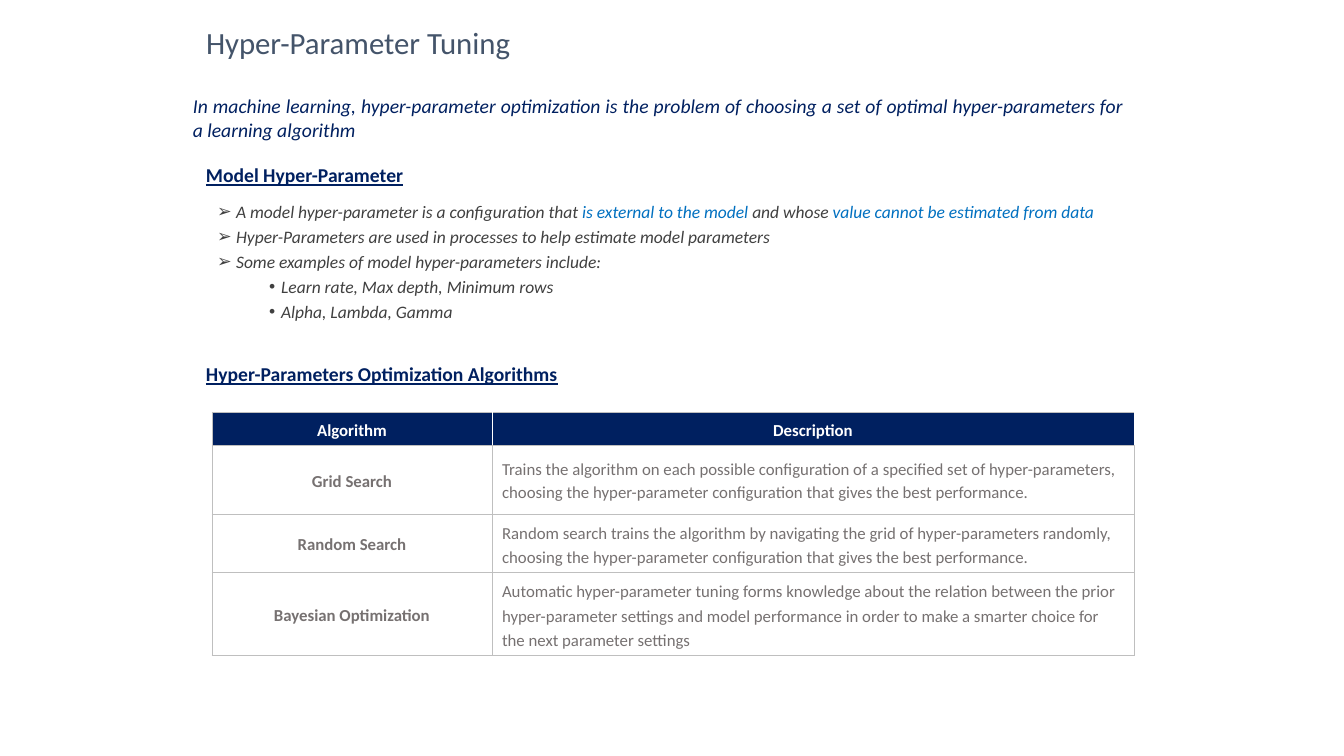
"""Build the Hyper-Parameter Tuning slide."""
import lxml.etree
import pptx
import pptx.dml.color
import pptx.enum.shapes
import pptx.enum.text
import pptx.oxml.ns
import pptx.util

RGB = pptx.dml.color.RGBColor
SLATE = RGB(0x44, 0x54, 0x6A)
NAVY = RGB(0x00, 0x20, 0x60)
BLUE = RGB(0x00, 0x70, 0xC0)
DARK = RGB(0x40, 0x40, 0x40)
GREY = RGB(0x76, 0x71, 0x71)
SILVER = RGB(0xBF, 0xBF, 0xBF)
WHITE = RGB(0xFF, 0xFF, 0xFF)
ALIGN = pptx.enum.text.PP_ALIGN
ANCHOR = pptx.enum.text.MSO_ANCHOR
SHAPE = pptx.enum.shapes.MSO_SHAPE
qn = pptx.oxml.ns.qn
PX = 914400 / 100.8


def px(*lengths):
    return [pptx.util.Emu(round(n * PX)) for n in lengths]


def add_run(p, text, size, color, bold=False, italic=False, underline=False):
    r = p.add_run()
    r.text = text
    r.font.name = "Calibri"
    r.font.size = pptx.util.Pt(size)
    r.font.color.rgb = color
    r.font.bold = bold
    r.font.italic = italic
    r.font.underline = underline


prs = pptx.Presentation()
prs.slide_width, prs.slide_height = px(1344, 756)
s = prs.slides.add_slide(prs.slide_layouts[6])

tf = s.shapes.add_textbox(*px(206, 24, 914, 40)).text_frame
tf.word_wrap = True
tf.margin_left = tf.margin_top = tf.margin_right = tf.margin_bottom = 0
add_run(tf.paragraphs[0], "Hyper-Parameter Tuning", 22, SLATE)

tf = s.shapes.add_textbox(*px(183, 89, 951, 57)).text_frame
tf.word_wrap = True
p = tf.paragraphs[0]
p.alignment = ALIGN.JUSTIFY
add_run(p, "In machine learning, hyper-parameter optimization is the problem of choosing "
        "a set of optimal hyper-parameters for a learning algorithm", 14, NAVY, italic=True)

sp = s.shapes.add_shape(SHAPE.ROUNDED_RECTANGLE, *px(191, 187, 966, 145))
sp.adjustments[0] = 0.1
sp.shadow.inherit = False
sp.fill.solid()
sp.fill.fore_color.rgb = WHITE
sp.line.fill.background()
tf = sp.text_frame
tf.word_wrap = True
tf.vertical_anchor = ANCHOR.MIDDLE
bullets = [
    (0, [("A model hyper-parameter is a configuration that ", DARK),
         ("is external to the model ", BLUE),
         ("and whose ", DARK),
         ("value cannot be estimated from data", BLUE)]),
    (0, [("Hyper-Parameters are used in processes to help estimate model parameters", DARK)]),
    (0, [("Some examples of model hyper-parameters include:", DARK)]),
    (1, [("Learn rate, Max depth, Minimum rows", DARK)]),
    (1, [("Alpha, Lambda, Gamma", DARK)]),
]
for i, (level, runs) in enumerate(bullets):
    p = tf.add_paragraph() if i else tf.paragraphs[0]
    p.level = level
    p.alignment = ALIGN.JUSTIFY
    p.line_spacing = 1.2
    margin, indent, mark = [(31, -19, "➢"), (76, -12, "•")][level]
    pPr = p._p.get_or_add_pPr()
    pPr.set("marL", str(px(margin)[0]))
    pPr.set("indent", str(px(indent)[0]))
    lxml.etree.SubElement(pPr, qn("a:buFont")).set("typeface", "Arial")
    lxml.etree.SubElement(pPr, qn("a:buChar")).set("char", mark)
    for text, color in runs:
        add_run(p, text, 12.5, color, italic=True)

headings = [("Model Hyper-Parameter", 158, 220), ("Hyper-Parameters Optimization Algorithms", 357, 735)]
for text, top, width in headings:
    tf = s.shapes.add_textbox(*px(196, top, width, 34)).text_frame
    tf.word_wrap = True
    add_run(tf.paragraphs[0], text, 14, NAVY, bold=True, underline=True)

rows = [
    ("Algorithm", "Description", 33, 1.15),
    ("Grid Search", "Trains the algorithm on each possible configuration of a specified set of "
     "hyper-parameters, choosing the hyper-parameter configuration that gives the best "
     "performance.", 69, 1.15),
    ("Random Search", "Random search trains the algorithm by navigating the grid of "
     "hyper-parameters randomly, choosing the hyper-parameter configuration that gives the "
     "best performance.", 58, 1.2),
    ("Bayesian Optimization", "Automatic hyper-parameter tuning forms knowledge about the "
     "relation between the prior hyper-parameter settings and model performance in order to "
     "make a smarter choice for the next parameter settings", 83, 1.2),
]
table = s.shapes.add_table(len(rows), 2, *px(212, 412, 922, 243)).table
table.first_row = table.horz_banding = False
for column, width in zip(table.columns, px(280, 642)):
    column.width = width
for i, (name, description, height, spacing) in enumerate(rows):
    table.rows[i].height = px(height)[0]
    header = i == 0
    for j, text in enumerate((name, description)):
        cell = table.cell(i, j)
        cell.vertical_anchor = ANCHOR.MIDDLE
        if header:
            cell.fill.solid()
            cell.fill.fore_color.rgb = NAVY
        else:
            cell.fill.background()
        p = cell.text_frame.paragraphs[0]
        title = header or j == 0
        p.alignment = ALIGN.CENTER if title else ALIGN.LEFT
        p.line_spacing = spacing if j else 1.15
        add_run(p, text, 12, WHITE if header else GREY, bold=title)
        tcPr = cell._tc.get_or_add_tcPr()
        for k, side in enumerate("LRTB"):
            white = header and (side == "R" or side == "L" and j == 1)
            ln = lxml.etree.Element(qn("a:ln" + side), w="6350")
            fill = lxml.etree.SubElement(ln, qn("a:solidFill"))
            lxml.etree.SubElement(fill, qn("a:srgbClr")).set("val", str(WHITE if white else SILVER))
            tcPr.insert(k, ln)

prs.save("out.pptx")
